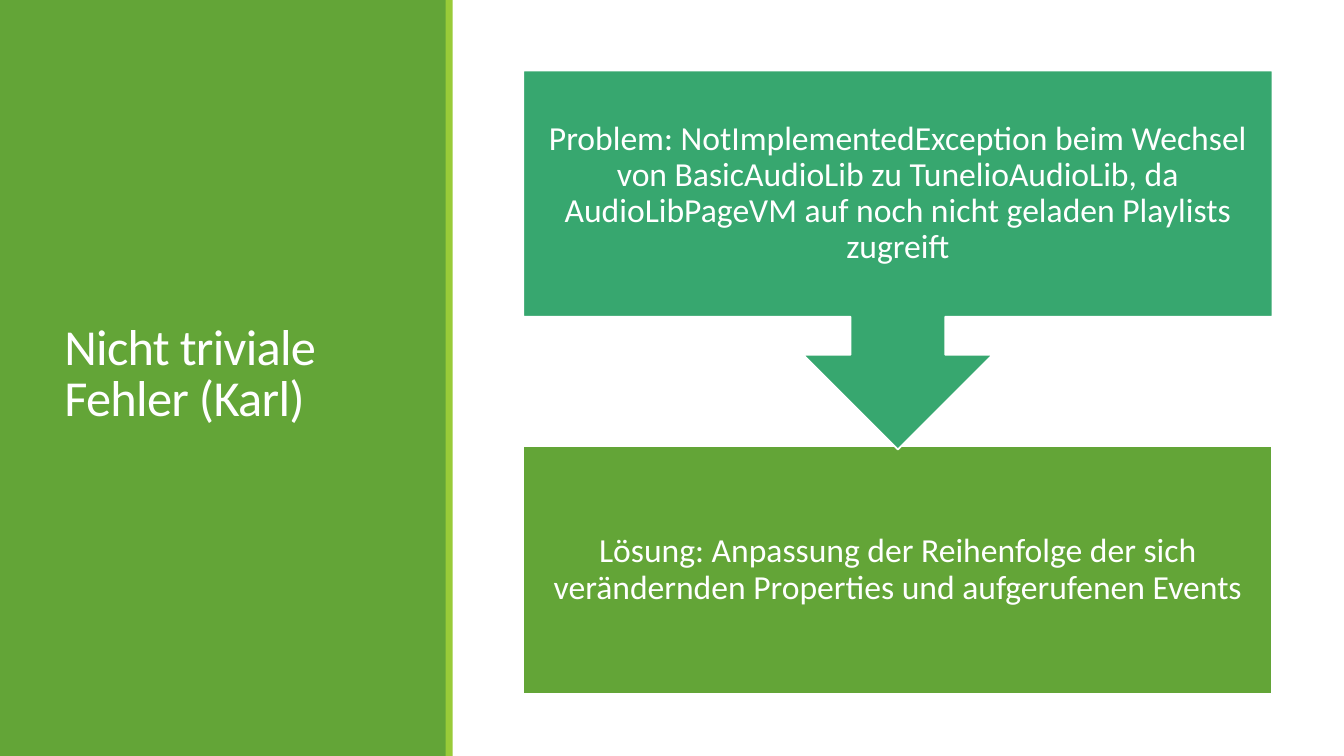
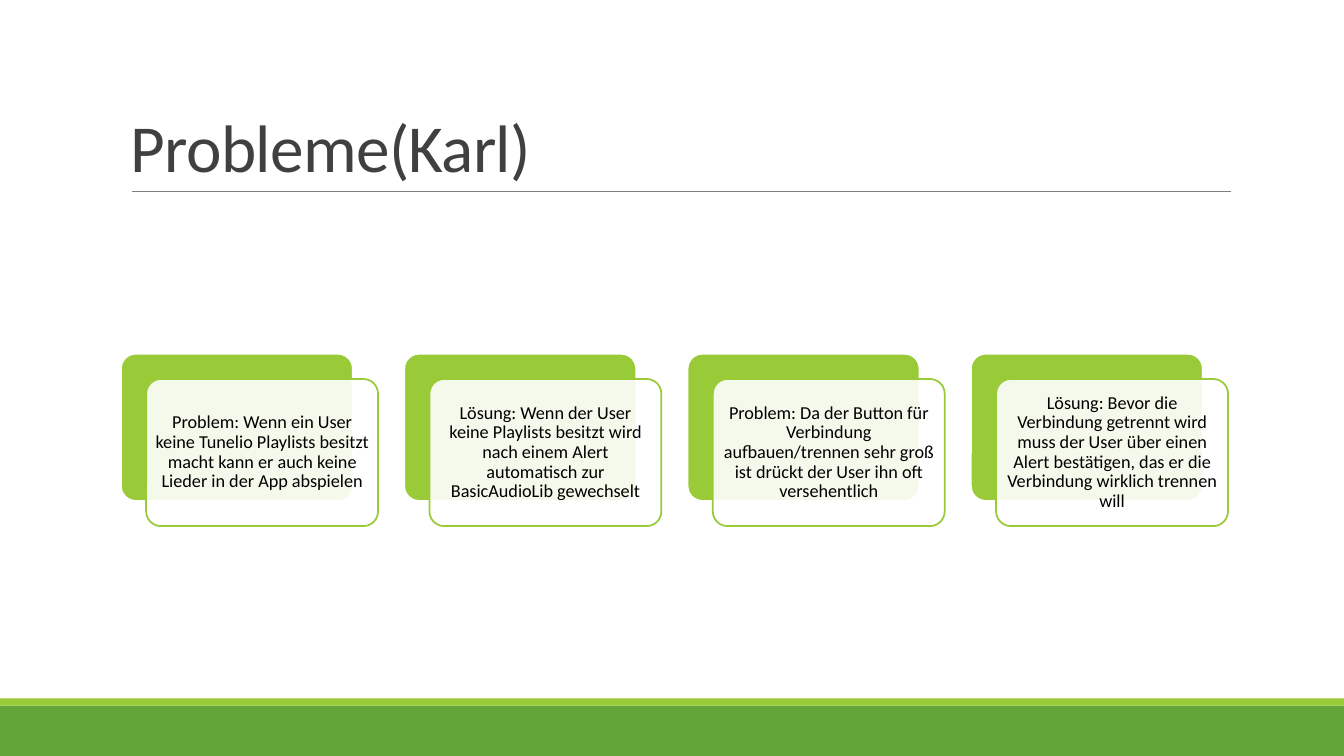
"""Build two green slides about bugs and their fixes."""
from lxml.etree import SubElement as Sub
from pptx import Presentation
from pptx.dml.color import RGBColor as RGB
from pptx.enum.shapes import MSO_CONNECTOR as Link, MSO_SHAPE as Kind
from pptx.enum.text import MSO_ANCHOR as Anchor, PP_ALIGN as Align
from pptx.oxml.ns import qn
from pptx.util import Inches, Pt

HUES = {"green": "63A537", "lime": "99CB38", "teal": "37A76F", "white": "FFFFFF",
        "dark": "404040", "gray": "808080", "black": "000000"}
FONT = "Calibri"


def draw(slide, kind, at, fill, edge=None):
    shape = slide.shapes.add_shape(kind, *map(Inches, at))
    shape.shadow.inherit = False
    shape.fill.solid()
    shape.fill.fore_color.rgb = RGB.from_string(HUES[fill])
    if edge:
        shape.line.color.rgb = RGB.from_string(HUES[edge])
        shape.line.width = Pt(1.25)
    else:
        shape.line.fill.background()
    return shape


def write(shape, text, size, hue, inset=None, anchor=Anchor.MIDDLE):
    frame = shape.text_frame
    frame.word_wrap = True
    frame.vertical_anchor = anchor
    frame.text = text
    para = frame.paragraphs[0]
    para.font.name = FONT
    para.font.size = Pt(size)
    para.font.color.rgb = RGB.from_string(HUES[hue])
    if inset:
        frame.margin_left = frame.margin_right = Inches(inset)
        frame.margin_top = frame.margin_bottom = Inches(inset)
        para.alignment = Align.CENTER
        para.line_spacing = 0.9
    else:
        para.alignment = Align.LEFT
        para.line_spacing = 0.85
        para.runs[0].font._element.set("spc", "-50")


deck = Presentation()
deck.slide_width = Inches(13.33)
deck.slide_height = Inches(7.5)
blank = deck.slide_layouts[6]
bugs, cases = [deck.slides.add_slide(blank) for _ in range(2)]

bands = [
    (bugs, (0, 0, 4.43, 7.5), "green"),
    (bugs, (4.42, 0, 0.07, 7.5), "lime"),
    (cases, (0, 7, 13.33, 0.5), "green"),
    (cases, (0, 6.93, 13.33, 0.07), "lime"),
]
for slide, at, fill in bands:
    draw(slide, Kind.RECTANGLE, at, fill)

titles = [
    (bugs, (0.54, 0.57, 3.37, 6.31), "Nicht triviale Fehler (Karl)", 36, "white", Anchor.MIDDLE),
    (cases, (1.2, 0.31, 11, 1.59), "Probleme(Karl)", 48, "dark", Anchor.BOTTOM),
]
for slide, at, text, size, hue, anchor in titles:
    title = slide.shapes.add_textbox(*map(Inches, at))
    write(title, text, size, hue, anchor=anchor)

steps = [
    (Kind.RECTANGLE, 4.43, 2.45, "green",
     "Lösung: Anpassung der Reihenfolge der sich verändernden Properties und "
     "aufgerufenen Events"),
    (Kind.DOWN_ARROW_CALLOUT, 0.7, 3.76, "teal",
     "Problem: NotImplementedException beim Wechsel von BasicAudioLib zu "
     "TunelioAudioLib, da AudioLibPageVM auf noch nicht geladen Playlists zugreift"),
]
for kind, top, high, fill, text in steps:
    step = draw(bugs, kind, (5.19, top, 7.43, high), fill, "white")
    write(step, text, 24, "white", 0.19)

rule = cases.shapes.add_connector(
    Link.STRAIGHT, Inches(1.31), Inches(1.9), Inches(12.21), Inches(1.9))
rule.line.color.rgb = RGB.from_string(HUES["gray"])
rule.line.width = Pt(0.5)
Sub(rule._element.spPr, qn("a:effectLst"))

notes = [
    "Problem: Wenn ein User keine Tunelio Playlists besitzt macht kann er auch "
    "keine Lieder in der App abspielen",
    "Lösung: Wenn der User keine Playlists besitzt wird nach einem Alert "
    "automatisch zur BasicAudioLib gewechselt",
    "Problem: Da der Button für Verbindung aufbauen/trennen sehr groß ist drückt "
    "der User ihn oft versehentlich",
    "Lösung: Bevor die Verbindung getrennt wird muss der User über einen Alert "
    "bestätigen, das er die Verbindung wirklich trennen will",
]
wide, high, pitch, shift = 2.3, 1.46, 2.81, 0.25
for col, text in enumerate(notes):
    left, top = 1.2 + col * pitch, 3.51
    back = draw(cases, Kind.ROUNDED_RECTANGLE, (left, top, wide, high), "lime", "white")
    card = draw(cases, Kind.ROUNDED_RECTANGLE,
                (left + shift, top + shift, wide, high), "white", "lime")
    for shape in (back, card):
        shape.adjustments[0] = 0.1
    tint = card._element.spPr.find(qn("a:solidFill")).find(qn("a:srgbClr"))
    Sub(tint, qn("a:alpha"), val="90000")
    write(card, text, 13, "black", 0.05)

deck.save("out.pptx")
